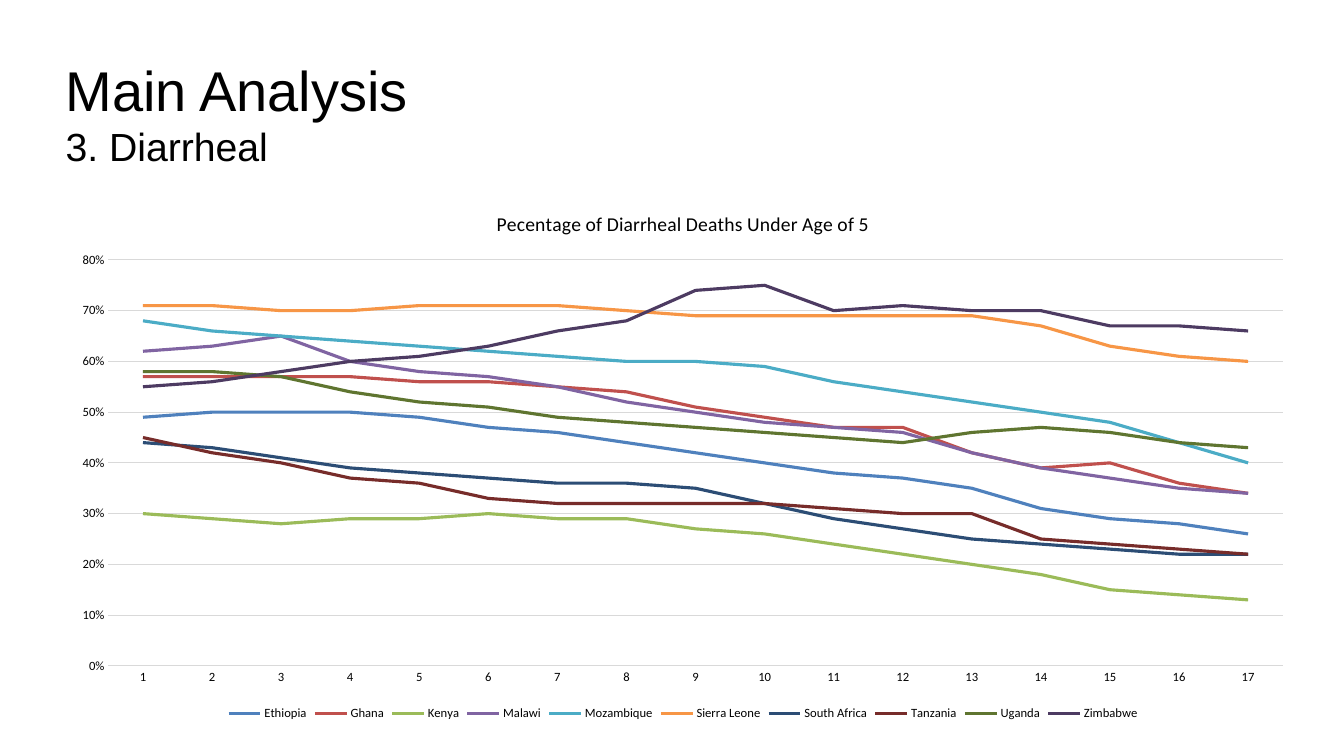
from dataclasses import dataclass

from lxml import etree
from pptx import Presentation
from pptx import util as u
from pptx.chart.data import CategoryChartData
from pptx.dml.color import RGBColor
from pptx.enum import chart as ch, text
from pptx.oxml.ns import qn

# Content
HEADING = "Main Analysis"
SUBHEADING = "3. Diarrheal"
CHART_TITLE = "Pecentage of Diarrheal Deaths Under Age of 5"
PERIODS = [str(n) for n in range(1, 18)]

# Country: line colour, deaths in percent for each period
COUNTRIES = {
    "Ethiopia": ("4F81BD", [49, 50, 50, 50, 49, 47, 46, 44, 42, 40, 38, 37, 35, 31, 29, 28, 26]),
    "Ghana": ("C0504D", [57, 57, 57, 57, 56, 56, 55, 54, 51, 49, 47, 47, 42, 39, 40, 36, 34]),
    "Kenya": ("9BBB59", [30, 29, 28, 29, 29, 30, 29, 29, 27, 26, 24, 22, 20, 18, 15, 14, 13]),
    "Malawi": ("8064A2", [62, 63, 65, 60, 58, 57, 55, 52, 50, 48, 47, 46, 42, 39, 37, 35, 34]),
    "Mozambique": ("4BACC6", [68, 66, 65, 64, 63, 62, 61, 60, 60, 59, 56, 54, 52, 50, 48, 44, 40]),
    "Sierra Leone": ("F79646", [71, 71, 70, 70, 71, 71, 71, 70, 69, 69, 69, 69, 69, 67, 63, 61, 60]),
    "South Africa": ("2C4D75", [44, 43, 41, 39, 38, 37, 36, 36, 35, 32, 29, 27, 25, 24, 23, 22, 22]),
    "Tanzania": ("772C2A", [45, 42, 40, 37, 36, 33, 32, 32, 32, 32, 31, 30, 30, 25, 24, 23, 22]),
    "Uganda": ("5F7530", [58, 58, 57, 54, 52, 51, 49, 48, 47, 46, 45, 44, 46, 47, 46, 44, 43]),
    "Zimbabwe": ("4D3B62", [55, 56, 58, 60, 61, 63, 66, 68, 74, 75, 70, 71, 70, 70, 67, 67, 66]),
}


@dataclass(frozen=True)
class Theme:
    ink: str = "000000"
    grid: str = "D9D9D9"
    heading_font: str = "Arial"
    chart_font: str = "Calibri"
    heading: int = 40
    subheading: int = 28
    chart_title: int = 14
    chart_text: int = 10
    label: int = 9
    hairline: float = 0.75
    series_line: float = 2.25


THEME = Theme()

# Geometry in inches; the plot is given as shares of the chart frame
WIDTH, HEIGHT = 13.33, 7.5
MARGIN = 0.58
TITLE_BOX = (MARGIN, 0.45, 9.52, 1.08)
CHART_BOX = (MARGIN, 1.89, 12.39, 5.3)
PLOT = {"x": 0.04, "y": 0.13, "w": 0.94, "h": 0.76}


def apply(target, values):
    for name, value in values.items():
        setattr(target, name, value)


def style_font(font, size, face):
    apply(font, {"size": u.Pt(size), "name": face, "bold": False})
    font.color.rgb = RGBColor.from_string(THEME.ink)


def style_line(line, color, width):
    line.color.rgb = RGBColor.from_string(color)
    line.width = u.Pt(width)


def place(box):
    return [u.Inches(length) for length in box]


def add_heading(slide):
    title = slide.shapes.title
    apply(title, dict(zip(("left", "top", "width", "height"), place(TITLE_BOX))))
    frame = title.text_frame
    apply(frame, {"word_wrap": True, "auto_size": text.MSO_AUTO_SIZE.NONE,
                  "vertical_anchor": text.MSO_ANCHOR.TOP,
                  "margin_left": u.Inches(0.07), "margin_right": u.Inches(0.07),
                  "margin_top": u.Inches(0.1), "margin_bottom": 0})
    paragraph = frame.paragraphs[0]
    apply(paragraph, {"alignment": text.PP_ALIGN.LEFT, "line_spacing": 1.0,
                      "space_before": u.Pt(0)})
    heading = paragraph.add_run()
    heading.text = HEADING
    style_font(heading.font, THEME.heading, THEME.heading_font)
    paragraph.add_line_break()
    subheading = paragraph.add_run()
    subheading.text = SUBHEADING
    style_font(subheading.font, THEME.subheading, THEME.heading_font)


def fix_plot_area(chart):
    plot_area = chart.plots[0]._element.getparent()
    layout = plot_area.find(qn("c:layout"))
    if layout is None:
        layout = etree.Element(qn("c:layout"))
        plot_area.insert(0, layout)
    manual = etree.SubElement(layout, qn("c:manualLayout"))
    settings = {"layoutTarget": "inner", "xMode": "edge", "yMode": "edge", **PLOT}
    for tag, value in settings.items():
        etree.SubElement(manual, qn(f"c:{tag}")).set("val", str(value))


def add_deaths_chart(slide):
    data = CategoryChartData(number_format="0%")
    data.categories = PERIODS
    for country, (_, percents) in COUNTRIES.items():
        data.add_series(country, [percent / 100 for percent in percents])
    chart = slide.shapes.add_chart(ch.XL_CHART_TYPE.LINE, *place(CHART_BOX), data).chart
    style_font(chart.font, THEME.chart_text, THEME.chart_font)

    # Title and legend
    chart.has_title = True
    caption = chart.chart_title.text_frame
    caption.text = CHART_TITLE
    style_font(caption.paragraphs[0].runs[0].font, THEME.chart_title, THEME.chart_font)
    chart.chart_title.include_in_layout = False
    chart.has_legend = True
    apply(chart.legend, {"position": ch.XL_LEGEND_POSITION.BOTTOM, "include_in_layout": False})
    style_font(chart.legend.font, THEME.label, THEME.chart_font)

    # Axes
    periods, shares = chart.category_axis, chart.value_axis
    for axis in (periods, shares):
        apply(axis, {"major_tick_mark": ch.XL_TICK_MARK.NONE,
                     "minor_tick_mark": ch.XL_TICK_MARK.NONE})
        style_font(axis.tick_labels.font, THEME.label, THEME.chart_font)
    style_line(periods.format.line, THEME.grid, THEME.hairline)
    apply(shares, {"minimum_scale": 0, "maximum_scale": 0.8, "major_unit": 0.1,
                   "has_major_gridlines": True})
    apply(shares.tick_labels, {"number_format": "0%", "number_format_is_linked": False})
    style_line(shares.major_gridlines.format.line, THEME.grid, THEME.hairline)
    shares.format.line.fill.background()

    # Country lines
    plot = chart.plots[0]
    plot.vary_by_categories = False
    for series, (color, _) in zip(plot.series, COUNTRIES.values()):
        series.smooth = False
        series.marker.style = ch.XL_MARKER_STYLE.NONE
        style_line(series.format.line, color, THEME.series_line)
    fix_plot_area(chart)


def main():
    deck = Presentation()
    deck.slide_width, deck.slide_height = place((WIDTH, HEIGHT))
    slide = deck.slides.add_slide(deck.slide_layouts[5])
    add_heading(slide)
    add_deaths_chart(slide)
    deck.save("out.pptx")


if __name__ == "__main__":
    main()
